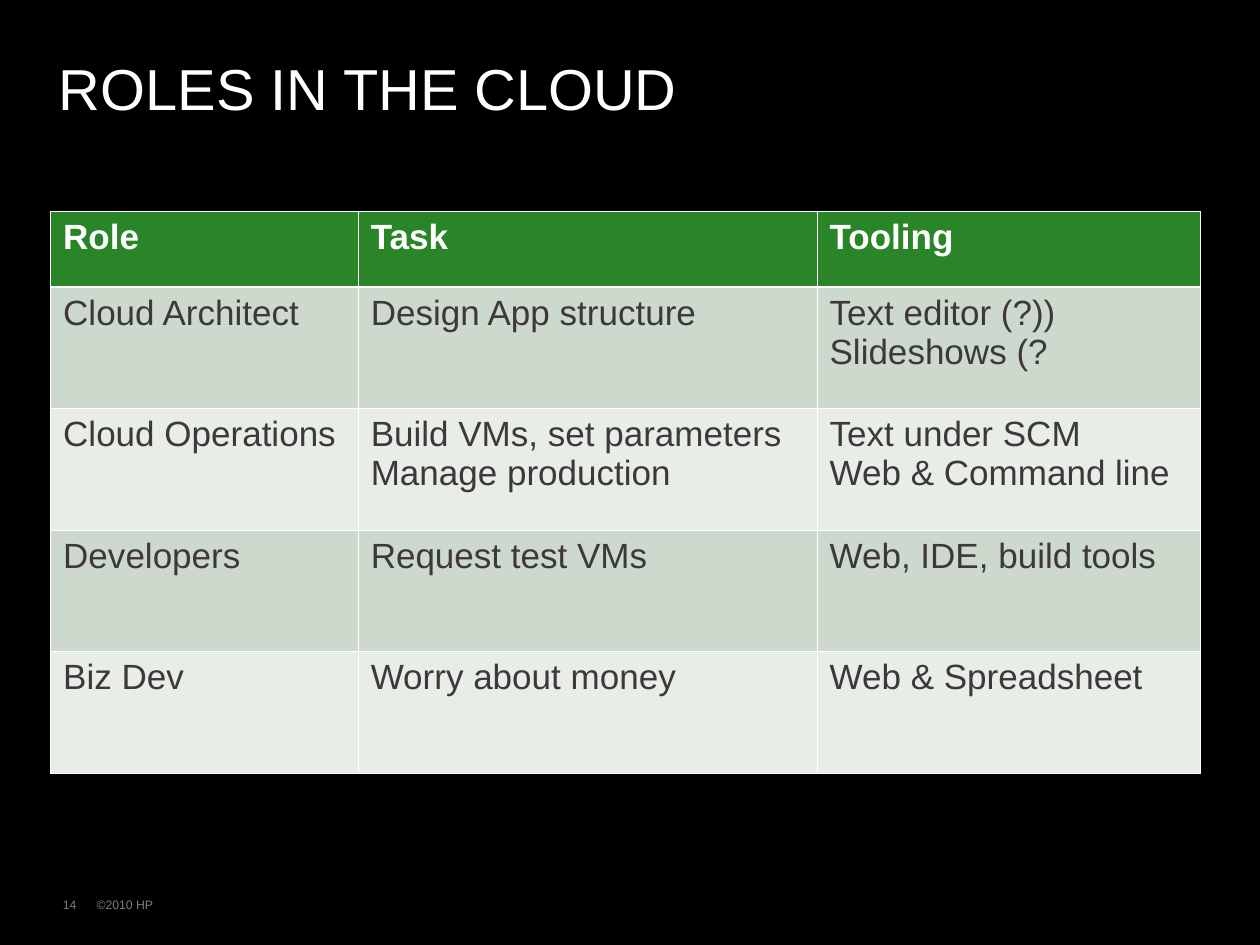
from pptx import Presentation
from pptx.dml.color import RGBColor
from pptx.enum.text import MSO_ANCHOR
from pptx.oxml import parse_xml
from pptx.oxml.ns import nsdecls
from pptx.util import Cm, Pt

TOP = MSO_ANCHOR.TOP

THEME = {
    "background": "000000",
    "header_fill": "298527",
    "band_fills": ("CDD9CD", "E8EDE8"),
    "border": "FFFFFF",
    "thin": 0.45,
    "thick": 1.47,
    "title": {"name": "Arial", "size": Pt(33), "bold": False, "color": "FFFFFF"},
    "header": {"name": "Arial", "size": Pt(20), "bold": True, "color": "FFFFFF"},
    "body": {"name": "Arial", "size": Pt(20), "bold": False, "color": "3D393B"},
    "footer": {"name": "Arial", "size": Pt(7), "bold": False, "color": "7F7F7F"},
}

TEXT_BOXES = [
    ("©2010 HP", "footer", (1.7, 17.96, 10.95, 0.61)),
    ("14", "footer", (1.02, 17.96, 1.07, 0.61)),
    ("ROLES IN THE CLOUD", "title", (0.94, 1.17, 23.27, 2.44)),
]

ROLES = [
    ("Role", "Task", "Tooling"),
    ("Cloud Architect", "Design App structure", "Text editor (?))\nSlideshows (?"),
    ("Cloud Operations", "Build VMs, set parameters\nManage production",
     "Text under SCM\nWeb & Command line"),
    ("Developers", "Request test VMs", "Web, IDE, build tools"),
    ("Biz Dev", "Worry about money", "Web & Spreadsheet"),
]
TABLE_LEFT, TABLE_TOP = 1.02, 4.27
COLUMN_WIDTHS = (6.2, 9.25, 7.73)
ROW_HEIGHTS = (1.52,) + (2.45,) * (len(ROLES) - 1)


def write_text(text_frame, text, style):
    """Fill the first paragraph and format its runs."""
    paragraph = text_frame.paragraphs[0]
    paragraph.text = text
    for run in paragraph.runs:
        for attribute, value in THEME[style].items():
            if attribute == "color":
                run.font.color.rgb = RGBColor.from_string(value)
            else:
                setattr(run.font, attribute, value)
    return paragraph


def add_text_box(slide, text, style, box):
    """Add one top-anchored, wrapping text box."""
    text_frame = slide.shapes.add_textbox(*map(Cm, box)).text_frame
    text_frame.word_wrap = True
    text_frame.vertical_anchor = TOP
    paragraph = write_text(text_frame, text, style)
    if style == "title":
        paragraph.line_spacing = THEME[style]["size"]


def set_borders(cell, row_index):
    """Draw the four cell borders, thicker beneath the header."""
    properties = cell._tc.get_or_add_tcPr()
    widths = {side: THEME["thin"] for side in "LRTB"}
    if row_index < 2:
        widths["TB"[row_index == 0]] = THEME["thick"]
    for side, width in widths.items():
        properties.append(parse_xml(
            f'<a:ln{side} {nsdecls("a")} w="{Pt(width)}"><a:solidFill>'
            f'<a:srgbClr val="{THEME["border"]}"/></a:solidFill></a:ln{side}>'))


def add_roles_table(slide):
    """Add the table of roles, tasks and tooling."""
    frame = slide.shapes.add_table(
        len(ROLES), len(COLUMN_WIDTHS), Cm(TABLE_LEFT), Cm(TABLE_TOP),
        Cm(sum(COLUMN_WIDTHS)), Cm(sum(ROW_HEIGHTS)))
    table = frame.table
    table.horz_banding = False
    for column, width in zip(table.columns, COLUMN_WIDTHS):
        column.width = Cm(width)
    for row_index, (row, height) in enumerate(zip(table.rows, ROW_HEIGHTS)):
        row.height = Cm(height)
        style = "body" if row_index else "header"
        color = THEME["band_fills"][(row_index - 1) % 2] if row_index else THEME["header_fill"]
        for cell, text in zip(row.cells, ROLES[row_index]):
            set_borders(cell, row_index)
            cell.fill.solid()
            cell.fill.fore_color.rgb = RGBColor.from_string(color)
            write_text(cell.text_frame, text, style)


def main():
    """Build and save the slide."""
    presentation = Presentation()
    presentation.slide_width, presentation.slide_height = Cm(25.4), Cm(19.05)
    slide = presentation.slides.add_slide(presentation.slide_layouts[6])
    slide.background.fill.solid()
    slide.background.fill.fore_color.rgb = RGBColor.from_string(THEME["background"])
    for text, style, box in TEXT_BOXES:
        add_text_box(slide, text, style, box)
    add_roles_table(slide)
    presentation.save("out.pptx")


if __name__ == "__main__":
    main()
